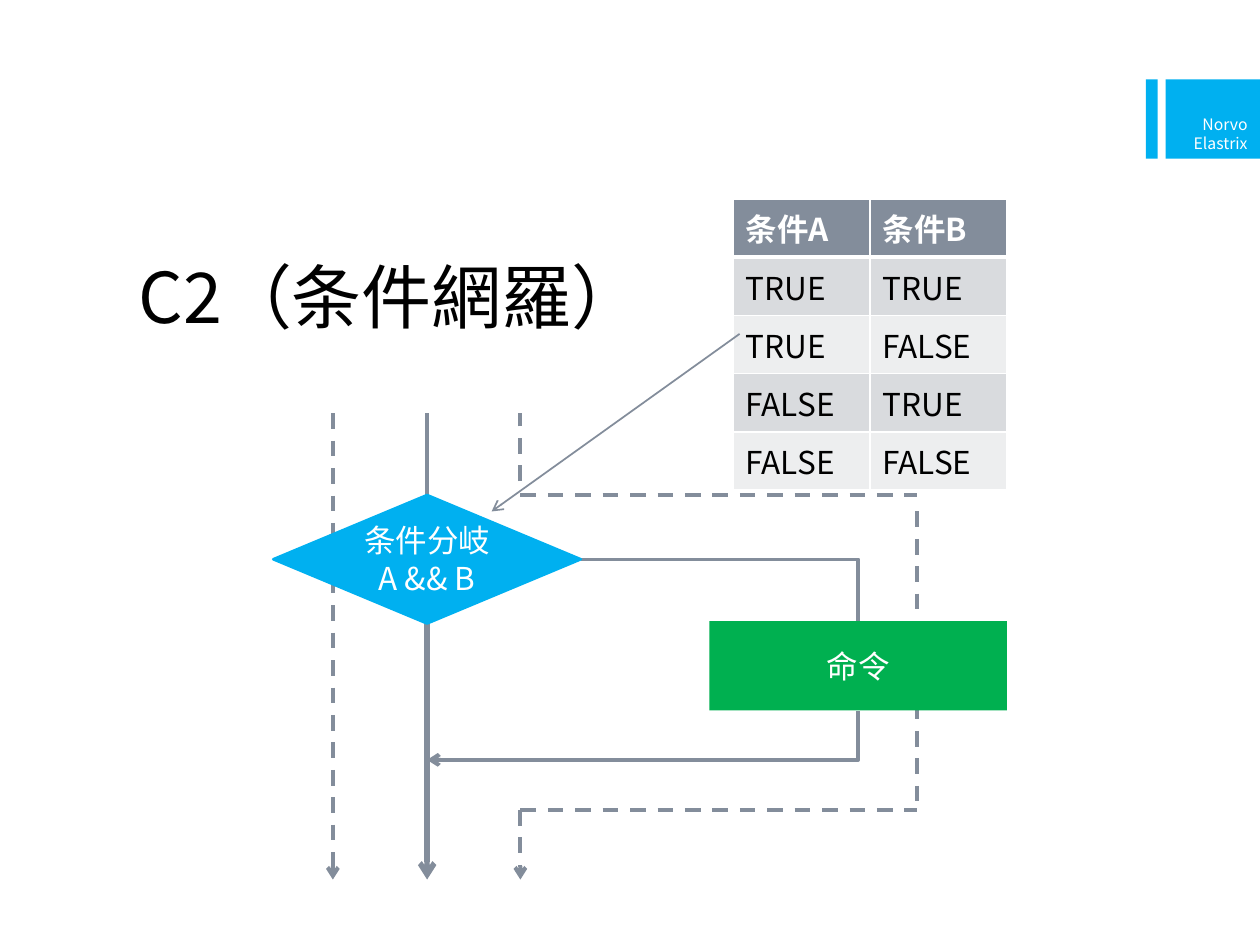
from dataclasses import dataclass

from lxml.etree import SubElement
from pptx import Presentation
from pptx.dml.color import RGBColor
from pptx.enum.dml import MSO_LINE
from pptx.enum.shapes import MSO_CONNECTOR as Link, MSO_SHAPE as Preset
from pptx.enum.text import MSO_ANCHOR as Anchor, MSO_AUTO_SIZE as Fit, PP_ALIGN as Align
from pptx.oxml import parse_xml
from pptx.oxml.ns import qn
from pptx.util import Cm, Pt


@dataclass(frozen=True)
class Theme:
    """Colours, font and type sizes of the slide."""
    font: str = "Noto Sans CJK JP"
    blue: str = "00B0F0"
    green: str = "00B050"
    grey: str = "838D9B"
    white: str = "FFFFFF"
    black: str = "000000"
    bands: tuple[str, str] = ("D9DBDE", "EDEEEF")
    title: int = 40
    body: int = 18
    small: int = 9


@dataclass(frozen=True)
class Block:
    """A filled shape with text; lengths in centimetres."""
    preset: Preset
    left: float
    top: float
    width: float
    height: float
    fill: str
    lines: tuple[str, ...] = ()
    size: int = 18
    align: Align = Align.CENTER
    anchor: Anchor = Anchor.MIDDLE
    outline: float = 0


@dataclass(frozen=True)
class Path:
    """A connector between two points in centimetres."""
    start: tuple[float, float]
    end: tuple[float, float]
    width: float = 2.25
    dashed: bool = False
    bent: bool = False
    arrow: str = ""


THEME = Theme()
LEFT, MAIN, RIGHT, BRANCH, DETOUR = 6.71, 8.61, 10.49, 17.3, 18.49
TOP, BOTTOM = 8.33, 17.73
SPLIT, MERGE = 9.98, 16.33

PATHS = [
    Path((11.71, 11.28), (BRANCH, 12.52), bent=True),
    Path((MAIN, SPLIT), (MAIN, TOP)),
    Path((MAIN, 12.57), (MAIN, BOTTOM), width=3, arrow="tailEnd"),
    Path((MAIN, 15.32), (BRANCH, 14.33), bent=True, arrow="headEnd"),
    Path((LEFT, TOP), (LEFT, BOTTOM), dashed=True, arrow="tailEnd"),
    Path((RIGHT, MERGE), (RIGHT, BOTTOM), dashed=True, arrow="tailEnd"),
    Path((RIGHT, MERGE), (DETOUR, MERGE), dashed=True),
    Path((DETOUR, 10.31), (DETOUR, 16.31), dashed=True),
    Path((RIGHT, SPLIT), (DETOUR, SPLIT), dashed=True),
    Path((RIGHT, 9.7), (RIGHT, TOP), dashed=True),
]
POINTER = Path((14.91, 6.73), (9.91, 10.31), width=1, arrow="tailEnd")

BLOCKS = [
    Block(Preset.RECTANGLE, 23.1, 1.6, 0.24, 1.6, THEME.blue),
    Block(Preset.RECTANGLE, 23.5, 1.6, 1.9, 1.6, THEME.blue, ("Norvo Elastrix",),
          THEME.small, Align.RIGHT, Anchor.BOTTOM),
    Block(Preset.FLOWCHART_DECISION, 5.51, SPLIT, 6.2, 2.59, THEME.blue,
          ("条件分岐", "A && B"), outline=1.5),
    Block(Preset.RECTANGLE, 14.3, 12.52, 6, 1.8, THEME.green, ("命令",)),
]
CONDITIONS = [("条件A", "条件B"), ("TRUE", "TRUE"), ("TRUE", "FALSE"),
              ("FALSE", "TRUE"), ("FALSE", "FALSE")]


def rgb(code: str) -> RGBColor:
    """Turn a hex code into a colour."""
    return RGBColor.from_string(code)


def write(para, text: str, size: int, colour: str, bold: bool = False) -> None:
    """Add one formatted run to a paragraph."""
    span = para.add_run()
    span.text = text
    span.font.name, span.font.size, span.font.bold = THEME.font, Pt(size), bold
    span.font.color.rgb = rgb(colour)
    SubElement(span.font._element, qn("a:ea")).set("typeface", THEME.font)


def draw_title(page, text: str) -> None:
    """Place and format the title placeholder."""
    box = page.shapes.title
    box.left, box.top, box.width, box.height = Cm(2.54), Cm(3.73), Cm(20.32), Cm(3.2)
    frame = box.text_frame
    frame.auto_size, frame.vertical_anchor = Fit.NONE, Anchor.BOTTOM
    frame.paragraphs[0].alignment = Align.LEFT
    write(frame.paragraphs[0], text, THEME.title, THEME.black)


def draw_block(page, block: Block) -> None:
    """Draw a filled shape and its lines of text."""
    box = page.shapes.add_shape(block.preset, Cm(block.left), Cm(block.top),
                                Cm(block.width), Cm(block.height))
    box.shadow.inherit = False
    box.fill.solid()
    box.fill.fore_color.rgb = rgb(block.fill)
    if block.outline:
        box.line.color.rgb = rgb(block.fill)
        box.line.width = Pt(block.outline)
    else:
        box.line.fill.background()
    frame = box.text_frame
    frame.word_wrap, frame.vertical_anchor = True, block.anchor
    for index, text in enumerate(block.lines):
        para = frame.add_paragraph() if index else frame.paragraphs[0]
        para.alignment = block.align
        write(para, text, block.size, THEME.white)


def draw_path(page, path: Path) -> None:
    """Draw a straight or one-corner connector."""
    kind = Link.ELBOW if path.bent else Link.STRAIGHT
    link = page.shapes.add_connector(kind, *(Cm(v) for v in path.start + path.end))
    link.line.color.rgb = rgb(THEME.grey)
    link.line.width = Pt(path.width)
    if path.dashed:
        link.line.dash_style = MSO_LINE.DASH
    properties = link._element.spPr
    if path.bent:
        properties.find(qn("a:prstGeom")).set("prst", "bentConnector2")
    if path.arrow:
        SubElement(properties.find(qn("a:ln")), qn(f"a:{path.arrow}")).set("type", "arrow")
    SubElement(properties, qn("a:effectLst"))


def set_borders(cell, bottom: int) -> None:
    """Give a cell white borders, with its own bottom width in points."""
    namespace = "http://schemas.openxmlformats.org/drawingml/2006/main"
    widths = {"lnL": 1, "lnR": 1, "lnT": 1, "lnB": bottom}
    for index, (side, width) in enumerate(widths.items()):
        cell._tc.get_or_add_tcPr().insert(index, parse_xml(
            f'<a:{side} xmlns:a="{namespace}" w="{Pt(width)}"><a:solidFill>'
            f'<a:srgbClr val="{THEME.white}"/></a:solidFill></a:{side}>'))


def draw_table(page, rows: list[tuple[str, str]]) -> None:
    """Draw the table of conditions with a header and banded rows."""
    table = page.shapes.add_table(len(rows), 2, Cm(14.78), Cm(4.01),
                                  Cm(5.52), Cm(1.03 * len(rows))).table
    for number, values in enumerate(rows):
        header = number == 0
        for column, text in enumerate(values):
            cell = table.cell(number, column)
            cell.fill.solid()
            cell.fill.fore_color.rgb = rgb(
                THEME.grey if header else THEME.bands[(number - 1) % 2])
            set_borders(cell, 3 if header else 1)
            write(cell.text_frame.paragraphs[0], text, THEME.body,
                  THEME.white if header else THEME.black, header)


def main() -> None:
    """Build and save the slide."""
    deck = Presentation()
    deck.slide_width, deck.slide_height = Cm(25.4), Cm(19.05)
    page = deck.slides.add_slide(deck.slide_layouts[5])
    draw_title(page, "C2（条件網羅）")
    for path in PATHS:
        draw_path(page, path)
    for block in BLOCKS:
        draw_block(page, block)
    draw_table(page, CONDITIONS)
    draw_path(page, POINTER)
    deck.save("out.pptx")


main()
